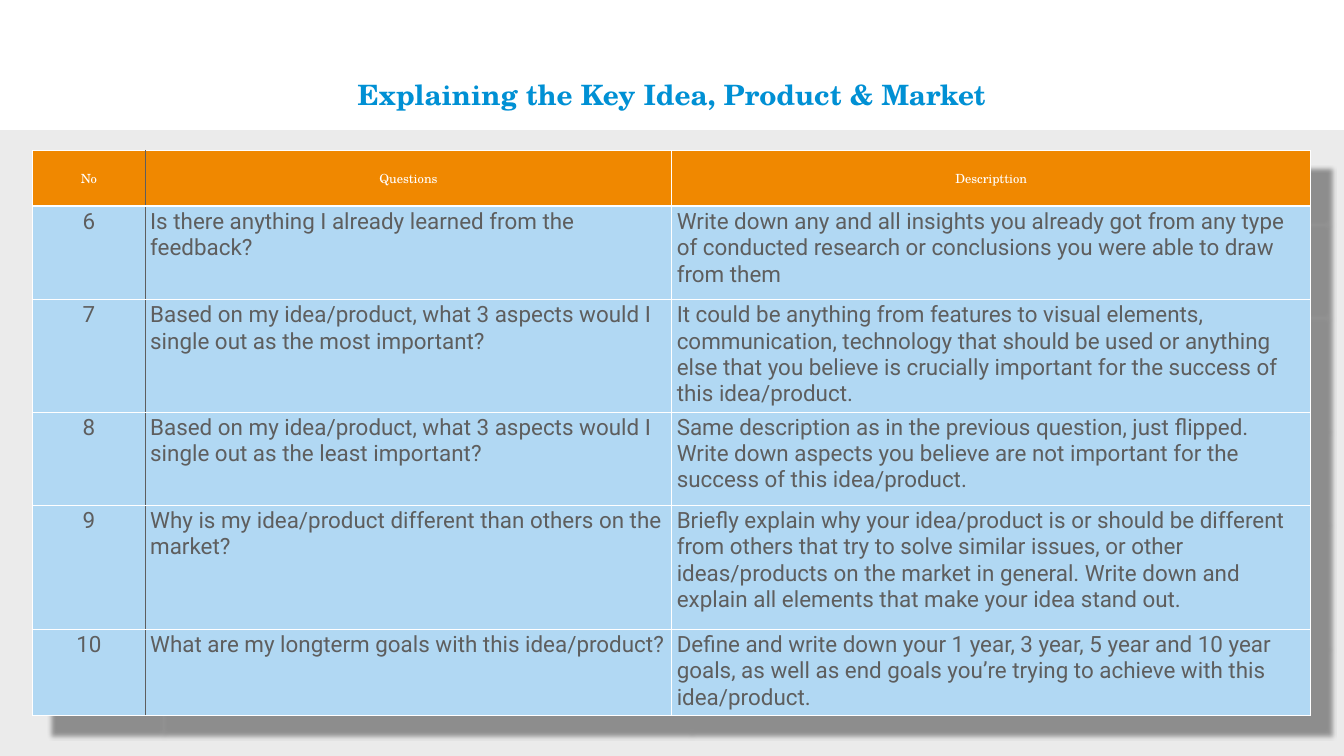
import lxml.etree
import pptx
import pptx.dml.color
import pptx.enum.shapes
import pptx.enum.text
import pptx.oxml
import pptx.oxml.ns
import pptx.util

Inches = pptx.util.Inches
Pt = pptx.util.Pt
ALIGN = pptx.enum.text.PP_ALIGN
ANCHOR = pptx.enum.text.MSO_ANCHOR

WHITE, GREY, PALE_GREY = "FFFFFF", "5E5E5E", "EBEBEB"
BLUE, PALE_BLUE, ORANGE = "0090D4", "B1D8F3", "F08800"
SERIF, SANS = "TeX Gyre Schola", "Roboto"

COLUMN_WIDTHS = [2.23, 10.45, 12.68]
ROW_HEIGHTS = [1.11, 1.85, 1.98, 1.85, 2.46, 1.51]
ROWS = [
    ("No", "Questions", "Descripttion"),
    ("6", "Is there anything I already learned from the feedback?",
     "Write down any and all insights you already got from any type of conducted "
     "research or conclusions you were able to draw from them"),
    ("7", "Based on my idea/product, what 3 aspects would I single out as the most important?",
     "It could be anything from features to visual elements, communication, technology "
     "that should be used or anything else that you believe is crucially important for "
     "the success of this idea/product."),
    ("8", "Based on my idea/product, what 3 aspects would I single out as the least important?",
     "Same description as in the previous question, just flipped. Write down aspects you "
     "believe are not important for the success of this idea/product."),
    ("9", "Why is my idea/product different than others on the market?",
     "Briefly explain why your idea/product is or should be different from others that try "
     "to solve similar issues, or other ideas/products on the market in general. Write down "
     "and explain all elements that make your idea stand out."),
    ("10", "What are my longterm goals with this idea/product?",
     "Define and write down your 1 year, 3 year, 5 year and 10 year goals, as well as end "
     "goals you’re trying to achieve with this idea/product."),
]


def color(value):
    return pptx.dml.color.RGBColor.from_string(value)


def style_text(para, font_name, size, font_color, align, bold=False):
    para.alignment = align
    para.font.name = font_name
    para.font.size = Pt(size)
    para.font.color.rgb = color(font_color)
    para.font.bold = bold


def add_title(page, left, top, width, height):
    title = page.shapes.title
    title.left, title.top = Inches(left), Inches(top)
    title.width, title.height = Inches(width), Inches(height)
    frame = title.text_frame
    frame.text = "Explaining the Key Idea, Product & Market"
    frame.word_wrap = True
    frame.auto_size = pptx.enum.text.MSO_AUTO_SIZE.SHAPE_TO_FIT_TEXT
    frame.vertical_anchor = ANCHOR.MIDDLE
    frame.margin_left = frame.margin_right = Inches(0.06)
    frame.margin_top = frame.margin_bottom = Inches(0.06)
    style_text(frame.paragraphs[0], SERIF, 40, BLUE, ALIGN.CENTER, bold=True)


def add_backdrop(page, left, top, width, height):
    """Place the grey panel behind everything else."""
    panel = page.shapes.add_shape(
        pptx.enum.shapes.MSO_SHAPE.RECTANGLE,
        Inches(left), Inches(top), Inches(width), Inches(height))
    panel.shadow.inherit = False
    panel.fill.solid()
    panel.fill.fore_color.rgb = color(PALE_GREY)
    panel.line.fill.background()
    page.shapes.title.element.addprevious(panel.element)


def add_border(cell, side, line_color, width=1):
    properties = cell._tc.get_or_add_tcPr()
    line = lxml.etree.SubElement(
        properties, pptx.oxml.ns.qn(f"a:ln{side}"), w=str(Pt(width)))
    fill = lxml.etree.SubElement(line, pptx.oxml.ns.qn("a:solidFill"))
    lxml.etree.SubElement(fill, pptx.oxml.ns.qn("a:srgbClr"), val=line_color)


def add_table_shadow(table):
    effects = pptx.oxml.parse_xml(
        f'<a:effectLst {pptx.oxml.ns.nsdecls("a")}>'
        f'<a:outerShdw blurRad="{Inches(0.1)}" dist="{Inches(0.55)}" dir="2700000">'
        '<a:srgbClr val="000000"><a:alpha val="40000"/></a:srgbClr>'
        '</a:outerShdw></a:effectLst>')
    table._tbl.tblPr.insert(0, effects)


def format_cell(cell, row, column):
    header = row == 0
    add_border(cell, "L", GREY if column == 1 else WHITE)
    add_border(cell, "R", GREY if column == 0 else WHITE)
    add_border(cell, "T", WHITE, 3 if row == 1 else 1)
    add_border(cell, "B", WHITE, 3 if header else 1)
    cell.fill.solid()
    cell.fill.fore_color.rgb = color(ORANGE if header else PALE_BLUE)
    cell.vertical_anchor = ANCHOR.MIDDLE if header else ANCHOR.TOP
    para = cell.text_frame.paragraphs[0]
    if header:
        style_text(para, SERIF, 18, WHITE, ALIGN.CENTER)
    else:
        style_text(para, SANS, 32, GREY, ALIGN.CENTER if column == 0 else ALIGN.LEFT)


def add_question_table(page, left, top):
    table = page.shapes.add_table(
        len(ROWS), len(COLUMN_WIDTHS), Inches(left), Inches(top),
        Inches(sum(COLUMN_WIDTHS)), Inches(sum(ROW_HEIGHTS))).table
    table.horz_banding = False
    add_table_shadow(table)
    for column, width in zip(table.columns, COLUMN_WIDTHS):
        column.width = Inches(width)
    for row, height in zip(table.rows, ROW_HEIGHTS):
        row.height = Inches(height)
    for row, texts in enumerate(ROWS):
        for column, text in enumerate(texts):
            cell = table.cell(row, column)
            cell.text = text
            format_cell(cell, row, column)


def main():
    deck = pptx.Presentation()
    deck.slide_width, deck.slide_height = Inches(26.67), Inches(15)
    page = deck.slides.add_slide(deck.slide_layouts[5])
    add_title(page, 6.97, 1.47, 12.72, 0.79)
    add_backdrop(page, 0, 2.58, 26.67, 12.42)
    add_question_table(page, 0.65, 2.98)
    deck.save("out.pptx")


if __name__ == "__main__":
    main()
